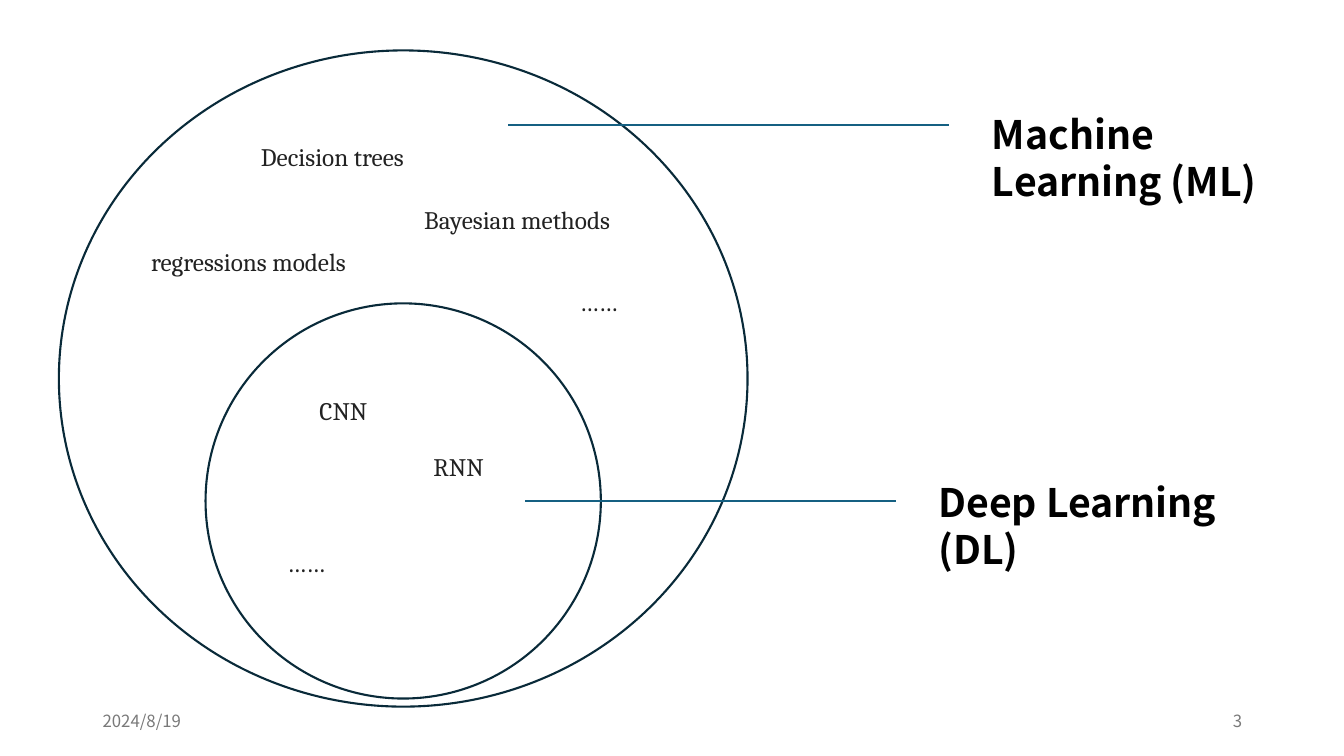
from lxml.etree import SubElement
from pptx import Presentation
from pptx.dml.color import RGBColor
from pptx.enum.shapes import MSO_CONNECTOR, MSO_SHAPE
from pptx.enum.text import MSO_ANCHOR, PP_ALIGN
from pptx.oxml.ns import qn
from pptx.util import Inches, Pt


def color(hex_text):
    return RGBColor.from_string(hex_text)


class Diagram:
    """Style and current slide; lengths are percentages of the slide's size."""
    SANS, SERIF = "Noto Sans CJK SC", "Cambria"
    RING, LEADER = "092A39", "156082"
    BLACK, INK, GREY = "000000", "222222", "797979"

    def __init__(self, prs):
        self.prs = prs
        self.s = prs.slides.add_slide(prs.slide_layouts[6])

    def x(self, share):
        return round(self.prs.slide_width * share / 100)

    def y(self, share):
        return round(self.prs.slide_height * share / 100)

    def ring(self, center, top, width, height):
        sp = self.s.shapes.add_shape(
            MSO_SHAPE.OVAL, self.x(center - width / 2), self.y(top),
            self.x(width), self.y(height))
        sp.shadow.inherit = False
        sp.fill.background()
        sp.line.color.rgb = color(self.RING)
        sp.line.width = Pt(1.5)

    def leader(self, start, end, height):
        line = self.s.shapes.add_connector(
            MSO_CONNECTOR.STRAIGHT, self.x(start), self.y(height),
            self.x(end), self.y(height))
        line.line.color.rgb = color(self.LEADER)
        line.line.width = Pt(1.5)
        SubElement(line._element.spPr, qn("a:effectLst"))

    def text(self, words, left, top, width, height, font, size, ink,
             bold=False, align=PP_ALIGN.LEFT, anchor=MSO_ANCHOR.TOP,
             spacing=None):
        box = self.s.shapes.add_textbox(
            self.x(left), self.y(top), self.x(width), self.y(height))
        tf = box.text_frame
        tf.word_wrap = True
        tf.vertical_anchor = anchor
        p = tf.paragraphs[0]
        p.text = words
        p.alignment = align
        p.line_spacing = spacing
        p.font.name, p.font.size, p.font.bold = font, Pt(size), bold
        p.font.color.rgb = color(ink)

    def heading(self, words, left, top, width):
        self.text(words, left, top, width, 13.87, self.SANS, 28, self.BLACK,
                  bold=True, spacing=Pt(33.8))

    def label(self, words, left, top, width):
        self.text(words, left, top, width, 5.33, self.SERIF, 18, self.INK)

    def footer(self, words, left, align):
        self.text(words, left, 92.67, 22.5, 5.33, self.SANS, 12, self.GREY,
                  align=align, anchor=MSO_ANCHOR.MIDDLE)


def main():
    prs = Presentation()
    prs.slide_width, prs.slide_height = Inches(13.33), Inches(7.5)
    d = Diagram(prs)

    # Nested fields, sharing one vertical axis
    axis = 30
    d.ring(axis, 6.67, 51.24, 86.8)
    d.ring(axis, 40.13, 29.41, 52.27)

    # Field names with leader lines
    d.leader(37.81, 70.59, 16.53)
    d.leader(39.08, 66.69, 66.27)
    d.heading("Machine Learning (ML)", 73.07, 13.87, 22.58)
    d.heading("Deep Learning (DL)", 69.09, 62.53, 23.71)

    # Example methods: words, left, top, width
    methods = [
        ("Decision trees", 18.68, 18, 24.23),
        ("Bayesian methods", 30.83, 26.4, 23.41),
        ("regressions models", 10.5, 31.87, 20.33),
        ("……", 42.39, 37.2, 10.28),
        ("CNN", 23.03, 51.6, 17.18),
        ("RNN", 31.51, 59.07, 16.5),
        ("……", 20.63, 71.73, 19.35),
    ]
    for method in methods:
        d.label(*method)

    # Slide number and date
    d.footer("3", 70.67, PP_ALIGN.RIGHT)
    d.footer("2024/8/19", 6.9, PP_ALIGN.LEFT)

    prs.save("out.pptx")


if __name__ == "__main__":
    main()
